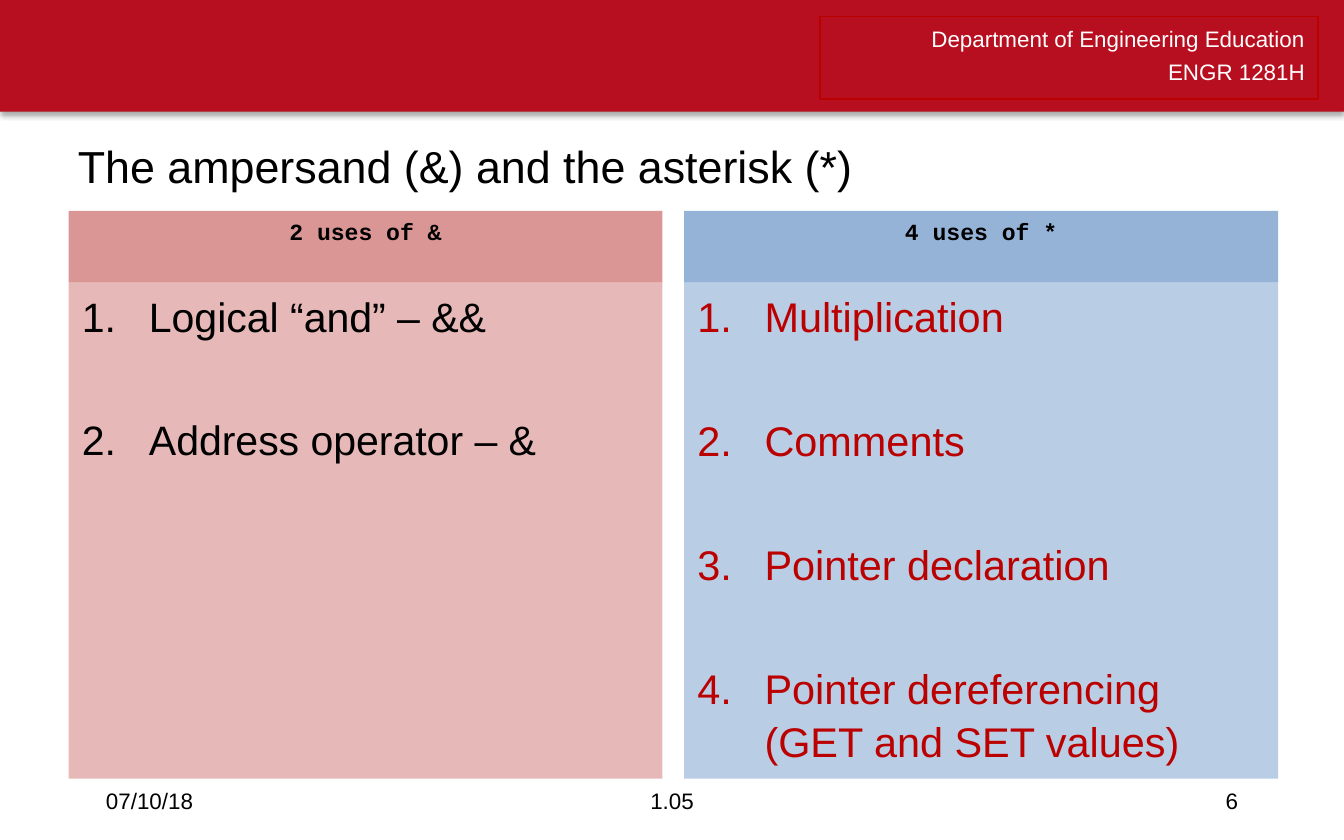
from lxml import etree
from pptx import Presentation
from pptx.dml.color import RGBColor
from pptx.enum.shapes import MSO_SHAPE
from pptx.enum.text import MSO_ANCHOR, PP_ALIGN
from pptx.oxml import parse_xml
from pptx.oxml.ns import qn
from pptx.util import Pt

RECT = MSO_SHAPE.RECTANGLE
TOP, MIDDLE = MSO_ANCHOR.TOP, MSO_ANCHOR.MIDDLE
LEFT, CENTER, RIGHT = PP_ALIGN.LEFT, PP_ALIGN.CENTER, PP_ALIGN.RIGHT
COLORS = {
    "banner": "B70F20", "red": "BB0000", "white": "FFFFFF", "black": "000000",
    "pink": "E6B9B8", "rose": "D99694", "sky": "B9CDE5", "blue": "95B3D7",
}
SHADOW = """<a:effectLst xmlns:a="http://schemas.openxmlformats.org/drawingml/2006/main">
<a:outerShdw blurRad="39370" dist="22860" dir="5400000" rotWithShape="0">
<a:srgbClr val="000000"><a:alpha val="35000"/></a:srgbClr></a:outerShdw></a:effectLst>"""


def rgb(name):
    """Return the palette colour with this name."""
    return RGBColor.from_string(COLORS[name])


def write(tf, text, size=12, color="black", font="Arial", bold=False, align=LEFT,
          anchor=TOP, before=0, after=0, spacing=1, numbered=False):
    """Fill a text frame with one paragraph per line of text."""
    tf.word_wrap = True
    tf.vertical_anchor = anchor
    for i, line in enumerate(text.split("\n")):
        p = tf.add_paragraph() if i else tf.paragraphs[0]
        p.alignment = align
        p.space_before, p.space_after = Pt(before), Pt(after)
        p.line_spacing = spacing
        r = p.add_run()
        r.text = line
        r.font.name, r.font.size, r.font.bold = font, Pt(size), bold
        r.font.color.rgb = rgb(color)
        if numbered:
            pPr = p._p.get_or_add_pPr()
            pPr.set("marL", str(Pt(36)))
            pPr.set("indent", str(Pt(-36)))
            etree.SubElement(pPr, qn("a:buFont"), typeface="+mj-lt")
            etree.SubElement(pPr, qn("a:buAutoNum"), type="arabicPeriod")


class Deck:
    """Hold the presentation, its style and the current slide."""

    def __init__(self, width, height):
        """Start a presentation with one blank slide."""
        self.prs = Presentation()
        self.prs.slide_width, self.prs.slide_height = Pt(width), Pt(height)
        self.s = self.prs.slides.add_slide(self.prs.slide_layouts[6])

    def box(self, x, y, w, h, fill=None, line=None, shadow=False, text=None, **fmt):
        """Add a rectangle with optional fill, line, shadow and text."""
        sp = self.s.shapes.add_shape(RECT, Pt(x), Pt(y), Pt(w), Pt(h))
        if fill:
            sp.fill.solid()
            sp.fill.fore_color.rgb = rgb(fill)
        else:
            sp.fill.background()
        if line:
            sp.line.color.rgb = rgb(line)
            sp.line.width = Pt(0.75)
        else:
            sp.line.fill.background()
        if shadow:
            sp._element.spPr.append(parse_xml(SHADOW))
        else:
            sp.shadow.inherit = False
        if text:
            write(sp.text_frame, text, **fmt)

    def label(self, x, y, w, h, text, **fmt):
        """Add a text box."""
        tf = self.s.shapes.add_textbox(Pt(x), Pt(y), Pt(w), Pt(h)).text_frame
        write(tf, text, **fmt)


deck = Deck(720, 450)
deck.box(0, 0, 720, 59.8, fill="banner", shadow=True)
deck.box(439.2, 9, 267, 44, line="red", color="white", align=RIGHT, after=3,
         spacing=1.05, text="Department of Engineering Education\nENGR 1281H")
deck.label(34.6, 69.1, 653, 51.1, "The ampersand (&) and the asterisk (*)",
           size=24, spacing=1.05)

columns = [
    ("2 uses of &", "rose", "pink", "black", 22,
     "Logical “and” – &&\nAddress operator – &"),
    ("4 uses of *", "blue", "sky", "red", 22.2,
     "Multiplication\nComments\nPointer declaration\n"
     "Pointer dereferencing (GET and SET values)"),
]
for i, (heading, head_fill, body_fill, color, size, items) in enumerate(columns):
    x = 36.7 + i * 329.8
    deck.box(x, 151.2, 318.2, 266, fill=body_fill, text=items, size=size,
             color=color, after=38.5, spacing=1.05, numbered=True)
    deck.box(x, 113, 318.2, 38.2, fill=head_fill, text=heading, size=12.4,
             font="Courier New", bold=True, align=CENTER, before=2.9)

for x, w, text, align in [(49.7, 162, "07/10/18", LEFT),
                          (238.3, 243.4, "1.05", CENTER),
                          (508.3, 162, "6", RIGHT)]:
    deck.label(x, 416.9, w, 23.8, text, align=align, anchor=MIDDLE)

deck.prs.save("out.pptx")
